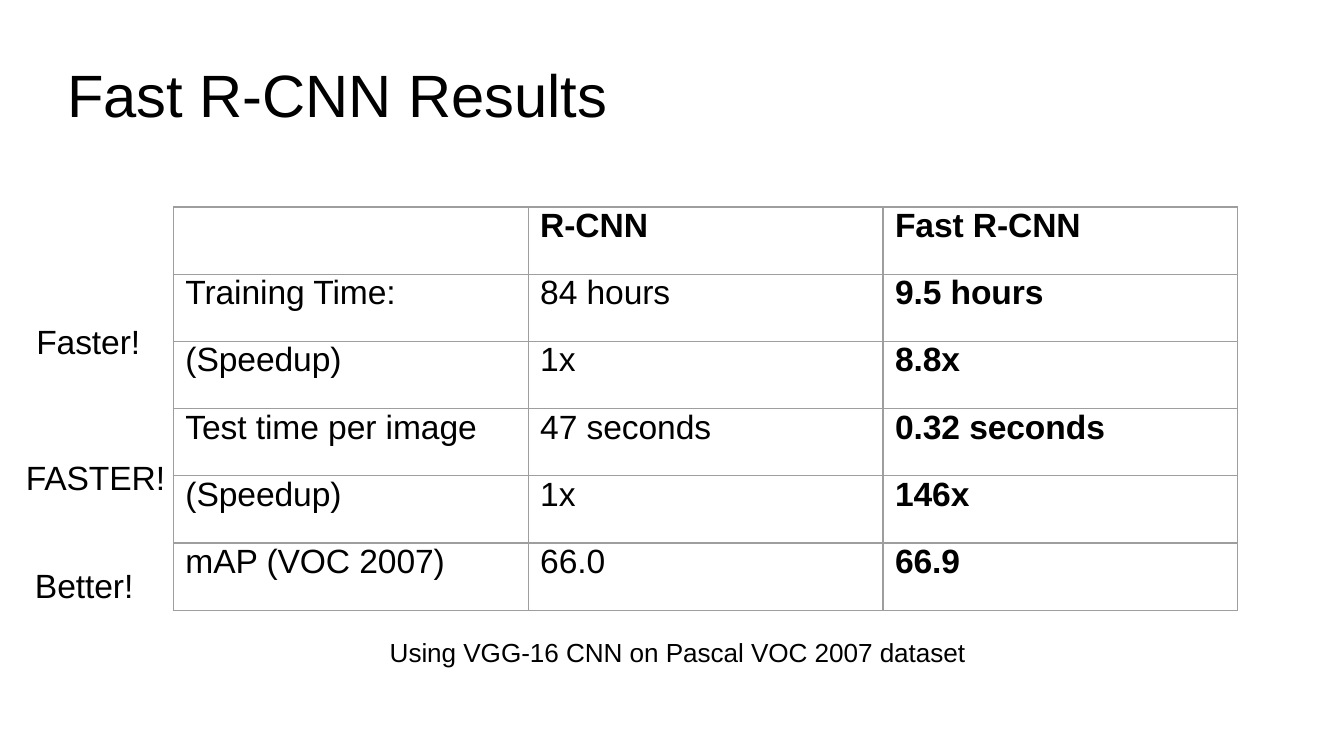
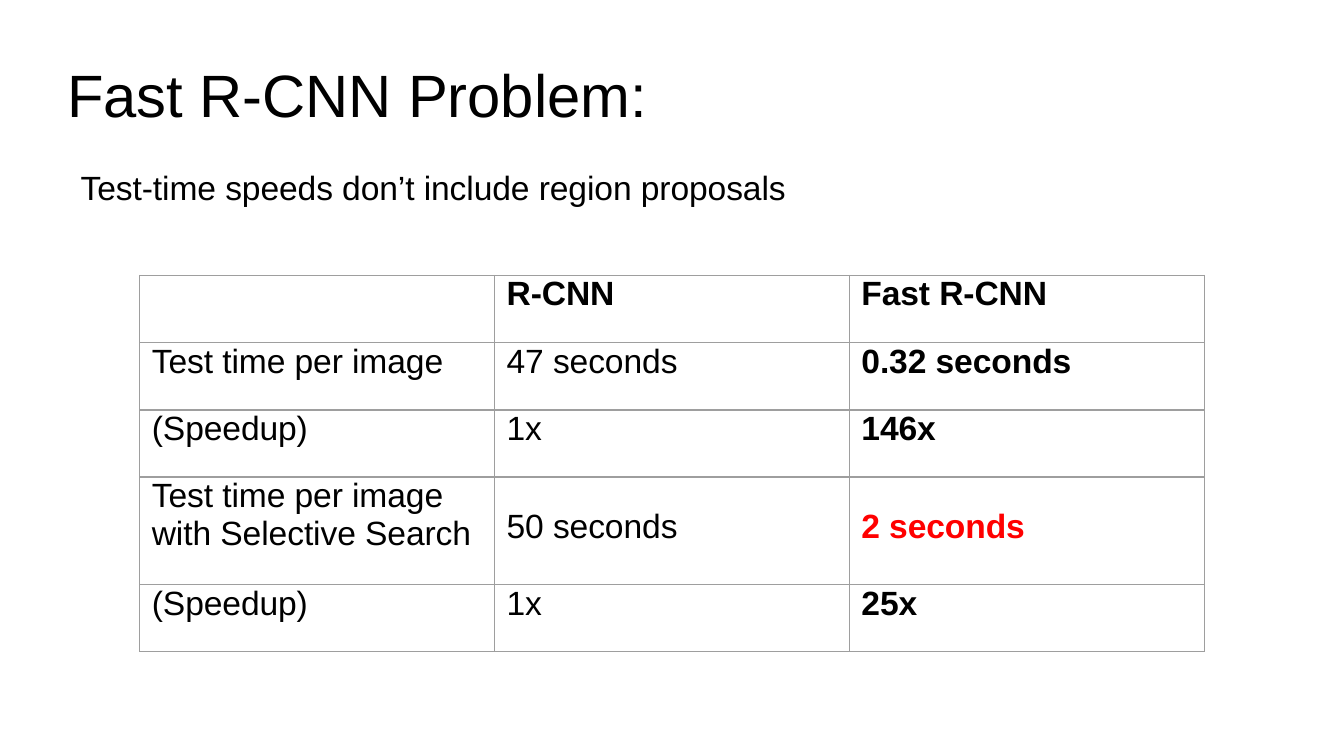
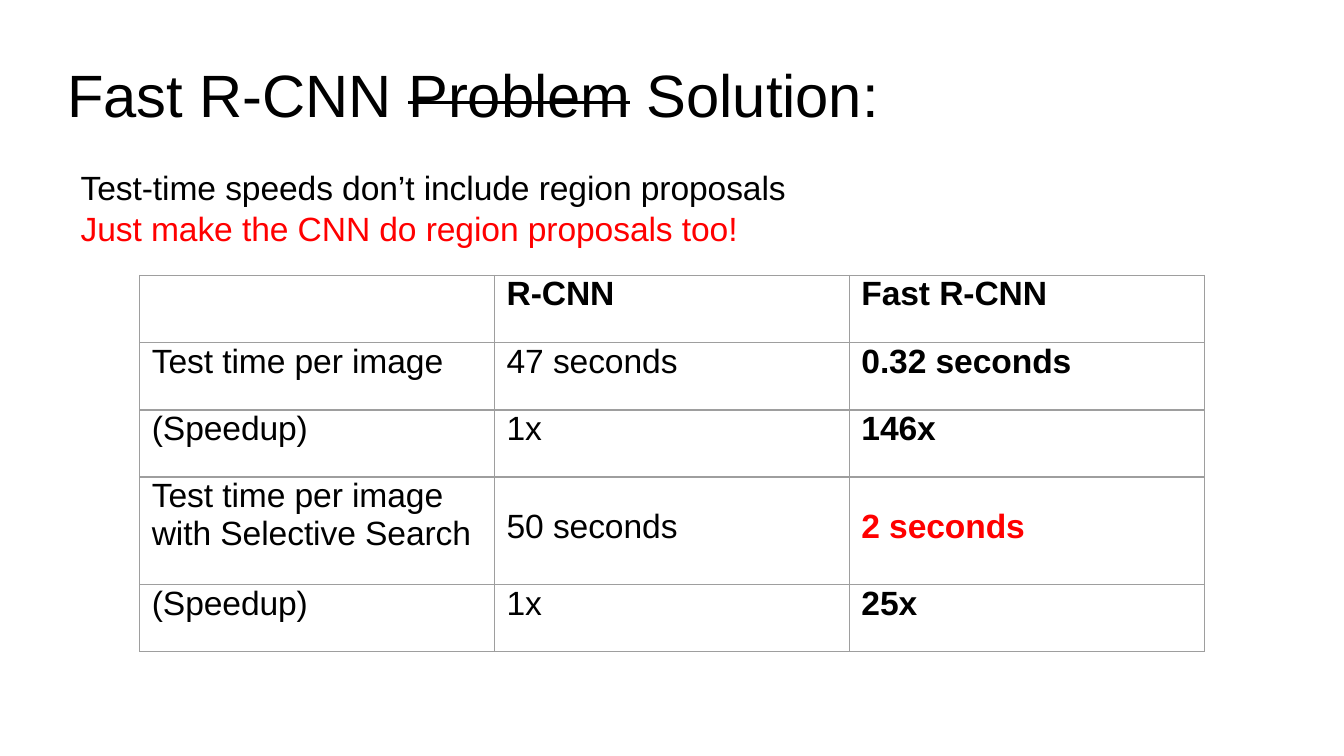
"""Build three slides that compare R-CNN with Fast R-CNN."""
from dataclasses import dataclass

import lxml.etree
import pptx
import pptx.dml.color
import pptx.enum.text
import pptx.oxml.ns
import pptx.util

Inches = pptx.util.Inches
Pt = pptx.util.Pt
ALIGN = pptx.enum.text.PP_ALIGN
ANCHOR = pptx.enum.text.MSO_ANCHOR


@dataclass(frozen=True)
class Theme:
    font: str = "Arial"
    ink: str = "000000"
    accent: str = "FF0000"
    grid: str = "9E9E9E"
    title_size: int = 32
    body_size: int = 18
    caption_size: int = 14
    tracking: float = -0.05
    grid_width: float = 0.75


THEME = Theme()


@dataclass(frozen=True)
class Span:
    text: str
    color: str = THEME.ink
    strike: bool = False


@dataclass(frozen=True)
class Line:
    spans: tuple[Span, ...]
    indent: float = 0.01
    before: float = 0
    spacing: float | None = None
    align: ALIGN = ALIGN.LEFT


@dataclass(frozen=True)
class Row:
    values: tuple[str, str, str]
    height: float = 0.5
    value_top: float = 0
    result_color: str = THEME.ink


HEADER = Row(("", "R-CNN", "Fast R-CNN"))
TEST_TIME = Row(("Test time per image", "47 seconds", "0.32 seconds"))
TEST_SPEEDUP = Row(("(Speedup)", "1x", "146x"))
RESULT_ROWS = (
    HEADER,
    Row(("Training Time:", "84 hours", "9.5 hours")),
    Row(("(Speedup)", "1x", "8.8x")),
    TEST_TIME,
    TEST_SPEEDUP,
    Row(("mAP (VOC 2007)", "66.0", "66.9")),
)
PROPOSAL_ROWS = (
    HEADER,
    TEST_TIME,
    TEST_SPEEDUP,
    Row(("Test time per image with Selective Search", "50 seconds", "2 seconds"),
        height=0.8, value_top=0.23, result_color=THEME.accent),
    Row(("(Speedup)", "1x", "25x")),
)
PROBLEM = Line((Span("Test-time speeds don’t include region proposals"),), spacing=21.8)
SOLUTION = Line((Span("Just make the CNN do region proposals too!", THEME.accent),), spacing=21.8)
VERDICTS = (
    Line((Span("Faster!"),), indent=0.1),
    Line((Span("FASTER!"),), indent=0, before=51, align=ALIGN.CENTER),
    Line((Span("Better!"),), indent=0.09, before=36.6),
)


def add_span(para, text: str, *, size: float = THEME.body_size, color: str = THEME.ink,
             bold: bool = False, strike: bool = False) -> None:
    """Append formatted text to a paragraph."""
    span = para.add_run()
    span.text = text
    span.font.name = THEME.font
    span.font.size = Pt(size)
    span.font.bold = bold
    span.font.color.rgb = pptx.dml.color.RGBColor.from_string(color)
    properties = span.font._element
    properties.set("spc", str(round(THEME.tracking * 100)))
    if strike:
        properties.set("strike", "sngStrike")


def add_text(page, left: float, top: float, width: float, height: float,
             lines: tuple[Line, ...], *, size: float = THEME.body_size,
             anchor: ANCHOR = ANCHOR.TOP) -> None:
    """Place a text box holding one paragraph per line."""
    box = page.shapes.add_textbox(Inches(left), Inches(top), Inches(width), Inches(height))
    frame = box.text_frame
    frame.word_wrap = True
    frame.vertical_anchor = anchor
    frame.margin_left = frame.margin_right = frame.margin_top = frame.margin_bottom = 0
    for index, line in enumerate(lines):
        para = frame.add_paragraph() if index else frame.paragraphs[0]
        para.alignment = line.align
        para._p.get_or_add_pPr().set("marL", str(Inches(line.indent)))
        if line.before:
            para.space_before = Pt(line.before)
        if line.spacing:
            para.line_spacing = Pt(line.spacing)
        for span in line.spans:
            add_span(para, span.text, size=size, color=span.color, strike=span.strike)


def add_borders(cell) -> None:
    """Draw the grid line on all four sides of a cell."""
    qualify = pptx.oxml.ns.qn
    properties = cell._tc.get_or_add_tcPr()
    for side in ("lnL", "lnR", "lnT", "lnB"):
        border = lxml.etree.SubElement(
            properties, qualify(f"a:{side}"), w=str(Pt(THEME.grid_width)))
        fill = lxml.etree.SubElement(border, qualify("a:solidFill"))
        lxml.etree.SubElement(fill, qualify("a:srgbClr"), val=THEME.grid)


def add_comparison(page, left: float, top: float, rows: tuple[Row, ...]) -> None:
    """Place a table with a bold header and a bold result column."""
    column_width = 2.64
    columns = len(HEADER.values)
    height = sum(row.height for row in rows)
    table = page.shapes.add_table(len(rows), columns, Inches(left), Inches(top),
                                  Inches(columns * column_width), Inches(height)).table
    table.first_row = table.horz_banding = False
    for column in table.columns:
        column.width = Inches(column_width)
    for row_index, row in enumerate(rows):
        table.rows[row_index].height = Inches(row.height)
        for column_index, value in enumerate(row.values):
            is_result = column_index == columns - 1
            cell = table.cell(row_index, column_index)
            cell.margin_left = Inches(0.09)
            cell.margin_right = cell.margin_bottom = 0
            cell.margin_top = Inches(row.value_top if column_index else 0)
            add_borders(cell)
            cell.fill.background()
            if value:
                add_span(cell.text_frame.paragraphs[0], value,
                         bold=row is HEADER or is_result,
                         color=row.result_color if is_result else THEME.ink)


def add_page(deck, *title: Span):
    """Add a blank slide with its title."""
    page = deck.slides.add_slide(deck.slide_layouts[6])
    add_text(page, 0.5, 0.23, 9, 0.94, (Line(title, indent=0),),
             size=THEME.title_size, anchor=ANCHOR.MIDDLE)
    return page


def add_results(deck) -> None:
    """Add the slide of overall results."""
    page = add_page(deck, Span("Fast R-CNN Results"))
    add_comparison(page, 1.29, 1.54, RESULT_ROWS)
    add_text(page, 0.17, 2.39, 1.08, 2.09, VERDICTS)
    caption = Line((Span("Using VGG-16 CNN on Pascal VOC 2007 dataset"),), spacing=15.2)
    add_text(page, 2.89, 4.76, 4.4, 0.22, (caption,), size=THEME.caption_size)


def add_proposals(deck, title: tuple[Span, ...], lines: tuple[Line, ...], height: float) -> None:
    """Add a slide on the cost of region proposals."""
    page = add_page(deck, *title)
    add_text(page, 0.59, 1.24, 8.15, height, lines)
    add_comparison(page, 1.04, 2.05, PROPOSAL_ROWS)


def main() -> None:
    """Build and save the deck."""
    deck = pptx.Presentation()
    deck.slide_width = Inches(10)
    deck.slide_height = Inches(10 * 9 / 16)
    add_results(deck)
    add_proposals(deck, (Span("Fast R-CNN Problem:"),), (PROBLEM,), 0.3)
    solution_title = (Span("Fast R-CNN "), Span("Problem", strike=True), Span(" Solution:"))
    add_proposals(deck, solution_title, (PROBLEM, SOLUTION), 0.91)
    deck.save("out.pptx")


if __name__ == "__main__":
    main()
